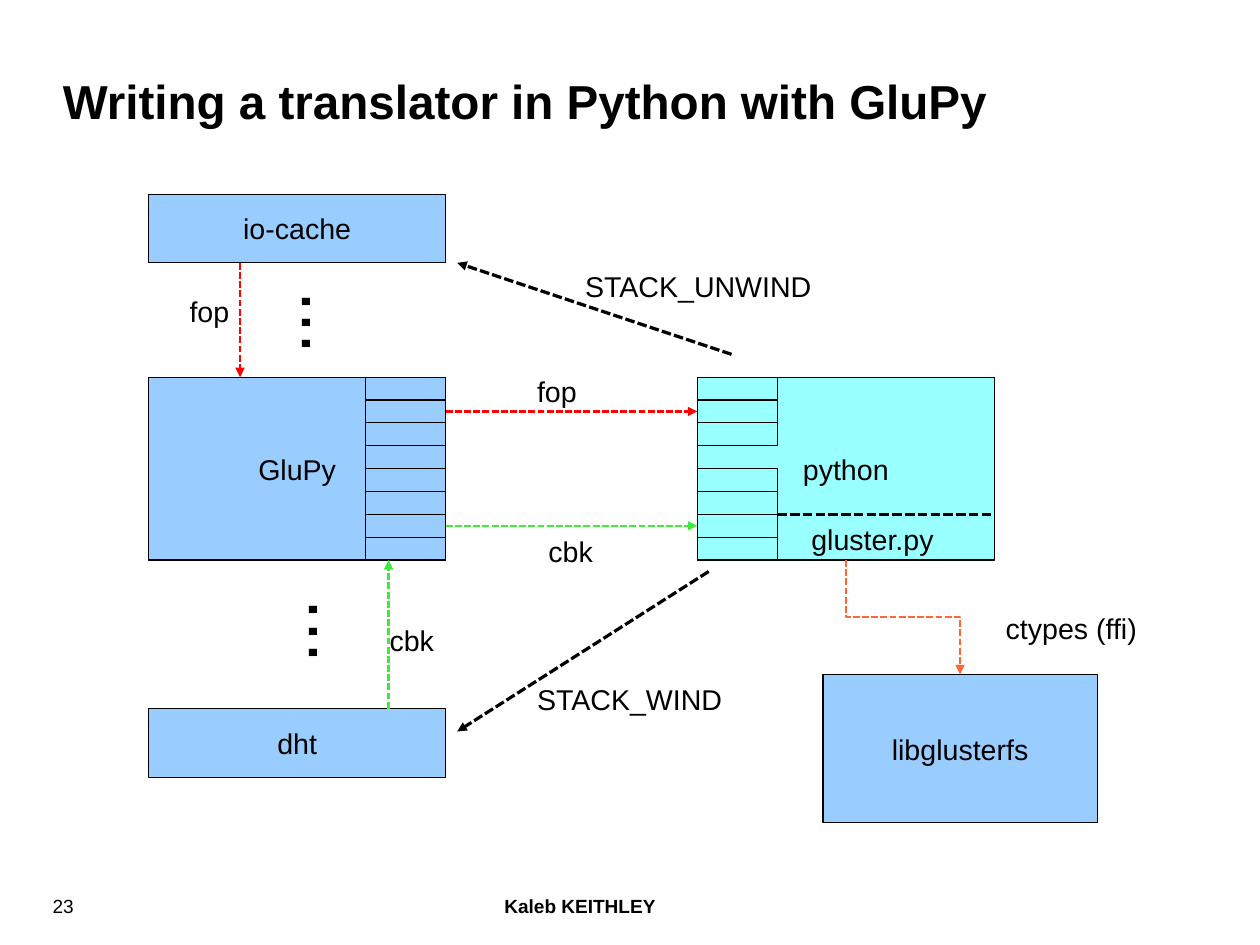
from lxml.etree import SubElement
from pptx import Presentation
from pptx.dml.color import RGBColor
from pptx.enum.dml import MSO_LINE
from pptx.enum.shapes import MSO_CONNECTOR as LINK, MSO_SHAPE
from pptx.enum.text import MSO_ANCHOR as ANCHOR, MSO_AUTO_SIZE as FIT, PP_ALIGN as ALIGN
from pptx.oxml.ns import qn
from pptx.util import Cm, Pt

BLACK = RGBColor(0x00, 0x00, 0x00)
BLUE = RGBColor(0x99, 0xCC, 0xFF)
CYAN = RGBColor(0x99, 0xFF, 0xFF)
RED = RGBColor(0xFF, 0x00, 0x00)
GREEN = RGBColor(0x3D, 0xEB, 0x3D)
ORANGE = RGBColor(0xFF, 0x66, 0x33)

GRID = 2.54
SLOT_WIDTH, SLOT_HEIGHT, SLOT_COUNT = 0.7, 0.2, 8
TOP = 3.3
FLUSH = dict.fromkeys(("margin_left", "margin_top", "margin_right", "margin_bottom"), 0)
LABEL = {"word_wrap": False, "auto_size": FIT.SHAPE_TO_FIT_TEXT}
CENTRED = {"word_wrap": False, "vertical_anchor": ANCHOR.MIDDLE}


def on_grid(*values):
    """Turn grid units into lengths."""
    return [Cm(value * GRID) for value in values]


def apply_format(target, values):
    """Set each named attribute of the target."""
    for name, value in values.items():
        setattr(target, name, value)


def write(box, text, frame_format, size=18, bold=False, align=ALIGN.LEFT):
    """Write one formatted paragraph into a box."""
    apply_format(box.text_frame, frame_format)
    para = box.text_frame.paragraphs[0]
    para.alignment = align
    span = para.add_run()
    span.text = text
    apply_format(span.font, {"name": "Arial", "size": Pt(size), "bold": bold})
    span.font.color.rgb = BLACK


def add_label(page, place, text, frame_format=LABEL, rotation=0, **style):
    """Add a text box."""
    box = page.shapes.add_textbox(*on_grid(*place))
    box.rotation = rotation
    write(box, text, frame_format, **style)


def add_block(page, place, fill, text=""):
    """Add a hairline rectangle, with a centred name if given."""
    box = page.shapes.add_shape(MSO_SHAPE.RECTANGLE, *on_grid(*place))
    box.shadow.inherit = False
    box.fill.solid()
    box.fill.fore_color.rgb = fill
    box.line.color.rgb = BLACK
    box.line.width = Pt(0)
    if text:
        write(box, text, CENTRED, align=ALIGN.CENTER)


def add_slots(page, left, fill, skipped=()):
    """Stack the slots of a dispatch table."""
    for row in range(SLOT_COUNT):
        if row not in skipped:
            top = TOP + row * SLOT_HEIGHT
            add_block(page, (left, top, SLOT_WIDTH, SLOT_HEIGHT), fill)


def add_link(page, ends, color=BLACK, width=0, kind=LINK.STRAIGHT, arrow=True):
    """Add a dashed connector, with an arrowhead at its end."""
    link = page.shapes.add_connector(kind, *on_grid(*ends))
    link.line.color.rgb = color
    apply_format(link.line, {"width": Pt(width), "dash_style": MSO_LINE.SQUARE_DOT})
    if arrow:
        SubElement(link.line._get_or_add_ln(), qn("a:tailEnd"), type="triangle")
    SubElement(link._element.spPr, qn("a:effectLst"))
    return link


def add_blocks(page):
    """Add the translators, Python and the library."""
    add_block(page, (1.3, 1.7, 2.6, 0.6), BLUE, "io-cache")
    add_block(page, (1.3, 6.2, 2.6, 0.6), BLUE, "dht")
    add_block(page, (1.3, TOP, 2.6, 1.6), BLUE, "GluPy")
    add_slots(page, 3.2, BLUE)
    add_block(page, (6.1, TOP, 2.6, 1.6), CYAN, "python")
    add_slots(page, 6.1, CYAN, skipped=(3,))
    add_link(page, (6.8, 4.5, 8.7, 4.5), arrow=False)
    add_block(page, (7.2, 5.9, 2.4, 1.3), BLUE, "libglusterfs")


def add_calls(page):
    """Add the arrows between the blocks."""
    for ends, color in (
        ((2.1, 2.3, 2.1, 3.3), RED),
        ((3.9, 3.6, 6.1, 3.6), RED),
        ((3.4, 6.2, 3.4, 4.9), GREEN),
        ((3.9, 4.6, 6.1, 4.6), GREEN),
    ):
        add_link(page, ends, color, 1.45)
    add_link(page, (6.4, 3.1, 4, 2.3))
    add_link(page, (6.2, 5, 4, 6.4))
    elbow = add_link(page, (7.4, 4.9, 8.4, 5.9), ORANGE, 1.45, LINK.ELBOW)
    turn = elbow._element.spPr.find(qn("a:xfrm"))
    turn.set("rot", "16200000")
    turn.set("flipH", "1")


def add_labels(page):
    """Name the calls and mark the omitted translators."""
    for left, top, width, text in (
        (1.56, 2.52, 0.55, "fop"),
        (4.6, 3.22, 0.55, "fop"),
        (3.31, 5.4, 0.59, "cbk"),
        (4.7, 4.62, 0.59, "cbk"),
        (5.02, 2.3, 2.18, "STACK_UNWIND"),
        (4.6, 5.92, 1.82, "STACK_WIND"),
        (8.7, 5.3, 1.35, "ctypes (ffi)"),
    ):
        add_label(page, (left, top, width, 0.38), text)
    add_label(page, (7, 4.52, 1.6, 0.38), "gluster.py", {"word_wrap": True})
    for left, top in ((2.02, 2.38), (2.08, 5.08)):
        add_label(page, (left, top, 0.8, 0.84), "...", {"word_wrap": True}, 270, size=48)


def main():
    """Build the slide and save the deck."""
    deck = Presentation()
    apply_format(deck, {"slide_width": Cm(28), "slide_height": Cm(21)})
    page = deck.slides.add_slide(deck.slide_layouts[6])
    flush = {**FLUSH, "word_wrap": True}
    add_label(page, (2.65, 7.83, 4.85, 0.25), "Kaleb KEITHLEY", flush,
              size=12, bold=True, align=ALIGN.CENTER)
    add_label(page, (0.46, 7.83, 1.25, 0.25), "23", flush, size=12)
    add_label(page, (0.55, 0.25, 9.92, 1.25), "Writing a translator in Python with GluPy",
              {**flush, "vertical_anchor": ANCHOR.MIDDLE}, size=30, bold=True)
    add_blocks(page)
    add_calls(page)
    add_labels(page)
    deck.save("out.pptx")


if __name__ == "__main__":
    main()
